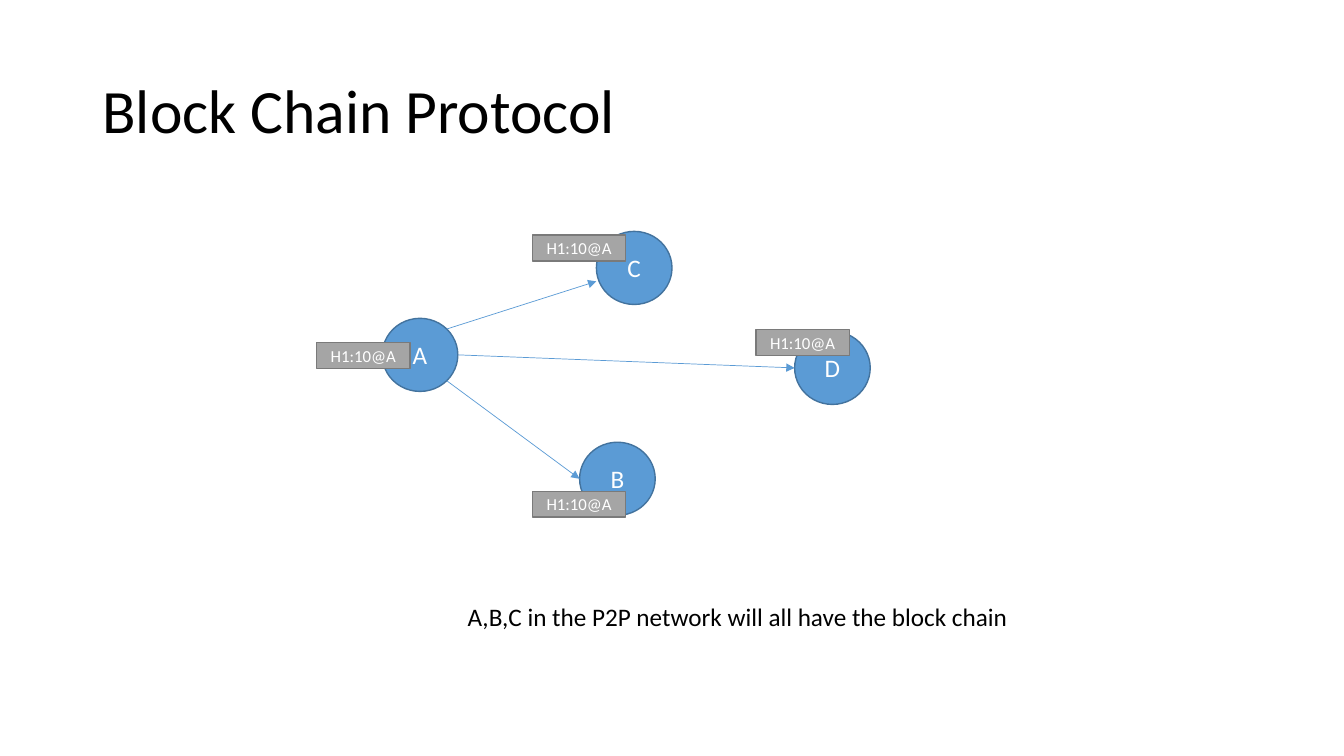
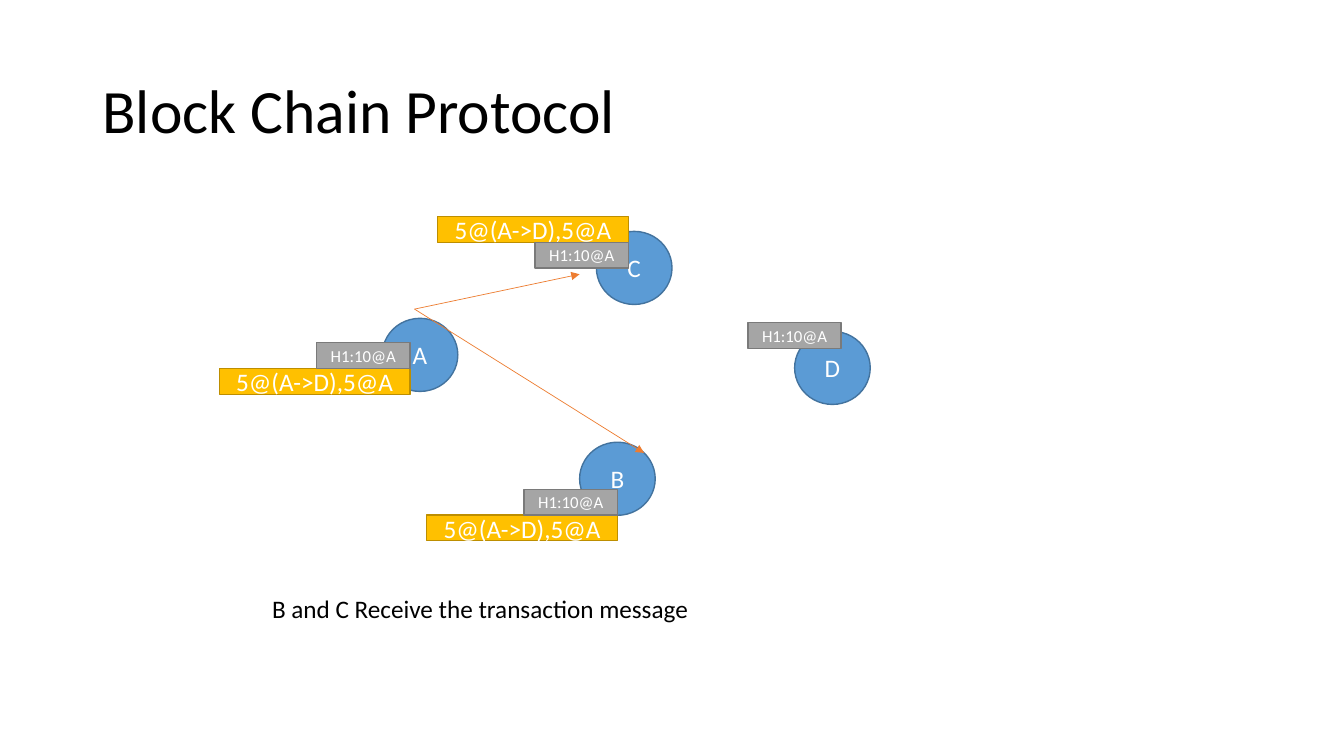
from dataclasses import dataclass
from math import cos, radians, sin
from typing import NamedTuple

from lxml import etree
from pptx import Presentation
from pptx.dml.color import RGBColor
from pptx.enum.shapes import MSO_CONNECTOR, MSO_SHAPE
from pptx.enum.text import MSO_ANCHOR, MSO_AUTO_SIZE, PP_ALIGN
from pptx.oxml.ns import qn
from pptx.slide import Slide
from pptx.text.text import TextFrame
from pptx.util import Inches, Pt

ELLIPSE = MSO_SHAPE.OVAL
RECTANGLE = MSO_SHAPE.RECTANGLE
STRAIGHT = MSO_CONNECTOR.STRAIGHT
LEFT, CENTER = PP_ALIGN.LEFT, PP_ALIGN.CENTER
TOP, MIDDLE = MSO_ANCHOR.TOP, MSO_ANCHOR.MIDDLE
FIXED_SIZE, GROW = MSO_AUTO_SIZE.NONE, MSO_AUTO_SIZE.SHAPE_TO_FIT_TEXT

SLIDE_WIDTH, SLIDE_HEIGHT = Inches(13.333), Inches(7.5)
COLUMNS, ROWS = 160, 90
TITLE_ONLY_LAYOUT = 5


@dataclass(frozen=True)
class Theme:
    font: str = "Calibri"
    title_size: int = 44
    body_size: int = 18
    badge_size: int = 12
    text: str = "000000"
    inverse: str = "FFFFFF"
    node_fill: str = "5B9BD5"
    node_line: str = "43739E"
    badge_fill: str = "A5A5A5"
    badge_line: str = "7A7A7A"
    transaction_fill: str = "FFC000"
    transaction_line: str = "BD8E00"
    message: str = "ED7D31"
    outline: float = 1
    arrow: float = 0.5


THEME = Theme()


class Point(NamedTuple):
    column: float
    row: float


class Box(NamedTuple):
    column: float
    row: float
    columns: float
    rows: float

    def rim(self, degrees: float) -> Point:
        angle = radians(degrees)
        return Point(
            self.column + self.columns / 2 * (1 + cos(angle)),
            self.row + self.rows / 2 * (1 - sin(angle)),
        )


class Style(NamedTuple):
    preset: int
    fill: str
    line: str
    size: int


class Arrow(NamedTuple):
    start: Point
    end: Point
    color: str


class Badge(NamedTuple):
    column: float
    row: float
    transaction_side: int = 0


class Caption(NamedTuple):
    text: str
    box: Box


@dataclass(frozen=True)
class Stage:
    caption: Caption
    arrows: tuple[Arrow, ...]
    badges: tuple[Badge, ...]


NODE_STYLE = Style(ELLIPSE, THEME.node_fill, THEME.node_line, THEME.body_size)
BADGE_STYLE = Style(RECTANGLE, THEME.badge_fill, THEME.badge_line, THEME.badge_size)
TRANSACTION_STYLE = Style(
    RECTANGLE, THEME.transaction_fill, THEME.transaction_line, THEME.body_size
)

TITLE = "Block Chain Protocol"
TITLE_BOX = Box(11, 4.8, 138, 17.4)
BADGE_TEXT = "H1:10@A"
TRANSACTION_TEXT = "5@(A->D),5@A"
BADGE_COLUMNS, TRANSACTION_COLUMNS, BADGE_ROWS = 11.1, 22.7, 3.07
ABOVE, BELOW = -1, 1

NODES = {
    name: Box(column, row, 9, 8.7)
    for name, column, row in (
        ("A", 45.5, 37.9),
        ("C", 71, 27.55),
        ("B", 69, 52.65),
        ("D", 94.6, 39.45),
    )
}
MESSAGE_START = Point(49.35, 36.8)

STAGES = (
    Stage(
        Caption(
            "A,B,C in the P2P network will all have the block chain",
            Box(54.5, 70.95, 68.2, 4.8),
        ),
        (
            Arrow(NODES["A"].rim(45), Point(71, 33.5), THEME.node_fill),
            Arrow(NODES["A"].rim(-45), NODES["B"].rim(180), THEME.node_fill),
            Arrow(NODES["A"].rim(0), NODES["D"].rim(180), THEME.node_fill),
        ),
        (Badge(37.7, 40.8), Badge(63.4, 28), Badge(63.4, 58.5), Badge(90, 39.25)),
    ),
    Stage(
        Caption("B and C Receive the transaction message", Box(31.2, 70.1, 52.6, 4.8)),
        (
            Arrow(MESSAGE_START, Point(69, 32.65), THEME.message),
            Arrow(MESSAGE_START, NODES["B"].rim(45), THEME.message),
        ),
        (
            Badge(37.7, 40.8, BELOW),
            Badge(63.7, 28.85, ABOVE),
            Badge(62.4, 58.25, BELOW),
            Badge(89.05, 38.4),
        ),
    ),
)


def across(columns: float) -> int:
    return round(SLIDE_WIDTH * columns / COLUMNS)


def down(rows: float) -> int:
    return round(SLIDE_HEIGHT * rows / ROWS)


def place(box: Box) -> tuple[int, int, int, int]:
    return across(box.column), down(box.row), across(box.columns), down(box.rows)


def write(
    frame: TextFrame, text: str, size: int, color: str, alignment: PP_ALIGN, anchor: MSO_ANCHOR
) -> None:
    frame.vertical_anchor = anchor
    paragraph = frame.paragraphs[0]
    paragraph.alignment = alignment
    run = paragraph.add_run()
    run.text = text
    run.font.name = THEME.font
    run.font.size = Pt(size)
    run.font.color.rgb = RGBColor.from_string(color)


def draw_title(slide: Slide) -> None:
    title = slide.shapes.title
    title.left, title.top, title.width, title.height = place(TITLE_BOX)
    frame = title.text_frame
    frame.auto_size = FIXED_SIZE
    write(frame, TITLE, THEME.title_size, THEME.text, LEFT, MIDDLE)
    frame.paragraphs[0].line_spacing = 0.9


def draw_shape(slide: Slide, box: Box, text: str, style: Style) -> None:
    shape = slide.shapes.add_shape(style.preset, *place(box))
    shape.shadow.inherit = False
    shape.fill.solid()
    shape.fill.fore_color.rgb = RGBColor.from_string(style.fill)
    shape.line.color.rgb = RGBColor.from_string(style.line)
    shape.line.width = Pt(THEME.outline)
    write(shape.text_frame, text, style.size, THEME.inverse, CENTER, MIDDLE)


def draw_arrow(slide: Slide, arrow: Arrow) -> None:
    connector = slide.shapes.add_connector(
        STRAIGHT,
        across(arrow.start.column),
        down(arrow.start.row),
        across(arrow.end.column),
        down(arrow.end.row),
    )
    connector.line.color.rgb = RGBColor.from_string(arrow.color)
    connector.line.width = Pt(THEME.arrow)
    properties = connector.element.spPr
    etree.SubElement(properties.find(qn("a:ln")), qn("a:tailEnd"), type="triangle")
    etree.SubElement(properties, qn("a:effectLst"))


def draw_badge(slide: Slide, badge: Badge) -> None:
    if badge.transaction_side:
        transaction = Box(
            badge.column + BADGE_COLUMNS - TRANSACTION_COLUMNS,
            badge.row + badge.transaction_side * BADGE_ROWS,
            TRANSACTION_COLUMNS,
            BADGE_ROWS,
        )
        draw_shape(slide, transaction, TRANSACTION_TEXT, TRANSACTION_STYLE)
    box = Box(badge.column, badge.row, BADGE_COLUMNS, BADGE_ROWS)
    draw_shape(slide, box, BADGE_TEXT, BADGE_STYLE)


def draw_caption(slide: Slide, caption: Caption) -> None:
    frame = slide.shapes.add_textbox(*place(caption.box)).text_frame
    frame.word_wrap = False
    frame.auto_size = GROW
    write(frame, caption.text, THEME.body_size, THEME.text, LEFT, TOP)


def draw_stage(slide: Slide, stage: Stage) -> None:
    draw_title(slide)
    for name, box in NODES.items():
        draw_shape(slide, box, name, NODE_STYLE)
    draw_caption(slide, stage.caption)
    for arrow in stage.arrows:
        draw_arrow(slide, arrow)
    for badge in stage.badges:
        draw_badge(slide, badge)


def main() -> None:
    presentation = Presentation()
    presentation.slide_width, presentation.slide_height = SLIDE_WIDTH, SLIDE_HEIGHT
    layout = presentation.slide_layouts[TITLE_ONLY_LAYOUT]
    for stage in STAGES:
        draw_stage(presentation.slides.add_slide(layout), stage)
    presentation.save("out.pptx")


main()
